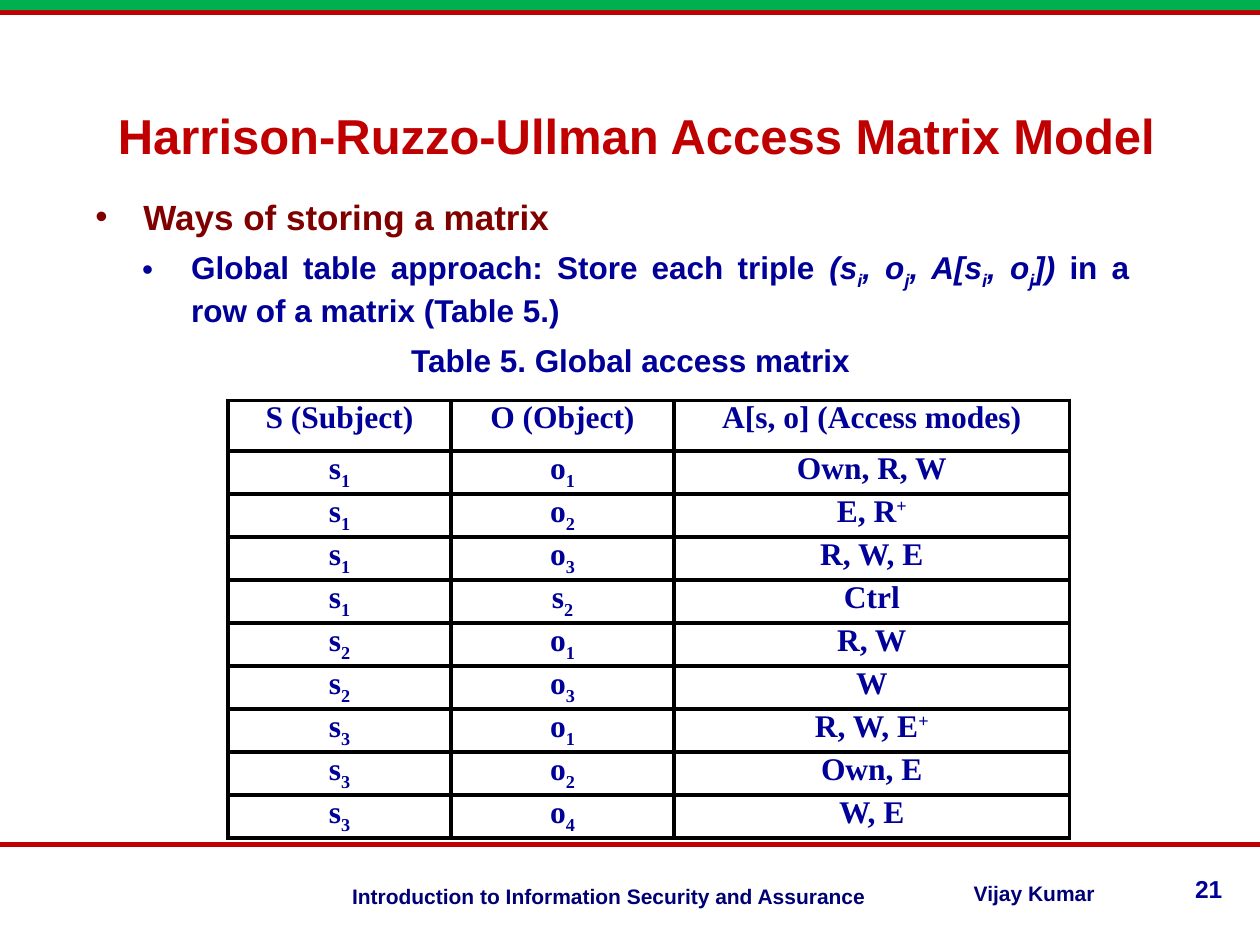
from dataclasses import dataclass
from typing import Any

from lxml.etree import SubElement
from pptx import Presentation
from pptx.dml.color import RGBColor
from pptx.enum.shapes import MSO_CONNECTOR, MSO_SHAPE
from pptx.enum.text import MSO_ANCHOR, PP_ALIGN
from pptx.oxml.ns import qn
from pptx.util import Inches, Pt

RED = RGBColor(0xC0, 0x00, 0x00)
GREEN = RGBColor(0x00, 0xB0, 0x50)
MAROON = RGBColor(0x80, 0x00, 0x00)
BLUE = RGBColor(0x00, 0x00, 0x99)
NAVY = RGBColor(0x00, 0x00, 0x76)
WHITE = RGBColor(0xFF, 0xFF, 0xFF)
BLACK = RGBColor(0x00, 0x00, 0x00)
BASELINES = {"_": "-25000", "^": "30000"}


@dataclass(frozen=True)
class Label:
    text: str
    left: float
    top: float
    width: float
    height: float
    size: int
    color: RGBColor
    align: PP_ALIGN
    anchor: MSO_ANCHOR = MSO_ANCHOR.TOP


@dataclass(frozen=True)
class Bullet:
    phrases: tuple[tuple[str, bool], ...]
    level: int
    size: int
    color: RGBColor
    margin: float
    indent: float


LABELS = (
    Label("Introduction to Information Security and Assurance",
          2.54, 6.96, 4.43, 0.29, 12, NAVY, PP_ALIGN.RIGHT),
    Label("Vijay Kumar", 7.63, 6.94, 1.26, 0.27, 12, NAVY, PP_ALIGN.JUSTIFY),
    Label("21", 9.15, 6.89, 0.65, 0.27, 14, BLUE, PP_ALIGN.RIGHT),
    Label("Harrison-Ruzzo-Ullman Access Matrix Model",
          0.51, 0.67, 9.08, 0.8, 28, RED, PP_ALIGN.CENTER, MSO_ANCHOR.MIDDLE),
    Label("Table 5. Global access matrix",
          2.9, 2.66, 4.21, 0.4, 18, BLUE, PP_ALIGN.CENTER, MSO_ANCHOR.MIDDLE),
)
BULLETS = (
    Bullet((("Ways of storing a matrix", False),), 0, 20, MAROON, 0.88, -0.38),
    Bullet((("Global table approach: Store each triple ", False),
            ("(s_i, o_j, A[s_i, o_j]) ", True),
            ("in a row of a matrix (Table 5.)", False)),
           1, 18, BLUE, 1.26, -0.39),
)
COLUMNS = (1.77, 1.77, 3.14)
HEADER_HEIGHT, ROW_HEIGHT = 0.4, 0.33
ROWS = (
    ("S (Subject)", "O (Object)", "A[s, o] (Access modes)"),
    ("s_1", "o_1", "Own, R, W"),
    ("s_1", "o_2", "E, R^+"),
    ("s_1", "o_3", "R, W, E"),
    ("s_1", "s_2", "Ctrl"),
    ("s_2", "o_1", "R, W"),
    ("s_2", "o_3", "W"),
    ("s_3", "o_1", "R, W, E^+"),
    ("s_3", "o_2", "Own, E"),
    ("s_3", "o_4", "W, E"),
)


def split_scripts(text: str) -> list[tuple[str, str]]:
    pieces = [("", "")]
    mark = ""
    for ch in text:
        if ch in BASELINES:
            mark = ch
            continue
        last, last_mark = pieces[-1]
        if mark == last_mark:
            pieces[-1] = (last + ch, mark)
        else:
            pieces.append((ch, mark))
        mark = ""
    return pieces


def add_runs(p: Any, text: str, size: int, color: RGBColor,
             font: str = "Arial", italic: bool = False) -> None:
    for piece, mark in split_scripts(text):
        r = p.add_run()
        r.text = piece
        r.font.name, r.font.size = font, Pt(size)
        r.font.bold, r.font.italic = True, italic
        r.font.color.rgb = color
        if mark:
            r.font._element.set("baseline", BASELINES[mark])


def add_label(s: Any, label: Label) -> None:
    sp = s.shapes.add_textbox(*map(Inches, (label.left, label.top, label.width, label.height)))
    tf = sp.text_frame
    tf.word_wrap = True
    tf.vertical_anchor = label.anchor
    p = tf.paragraphs[0]
    p.alignment = label.align
    add_runs(p, label.text, label.size, label.color)


def add_rule(s: Any, y: float) -> None:
    line = s.shapes.add_connector(MSO_CONNECTOR.STRAIGHT, 0, Inches(y), Inches(10), Inches(y))
    line.line.color.rgb = RED
    line.line.width = Pt(3)
    SubElement(line._element.spPr, qn("a:effectLst"))


def add_bullets(s: Any) -> None:
    tf = s.shapes.add_textbox(Inches(0.16), Inches(1.5), Inches(8.9), Inches(1.51)).text_frame
    tf.word_wrap = True
    for i, bullet in enumerate(BULLETS):
        p = tf.add_paragraph() if i else tf.paragraphs[0]
        p.alignment = PP_ALIGN.JUSTIFY
        p.level = bullet.level
        p.space_before = Pt(6)
        pPr = p._p.get_or_add_pPr()
        pPr.set("marL", str(Inches(bullet.margin)))
        pPr.set("indent", str(Inches(bullet.indent)))
        SubElement(pPr, qn("a:buFont"), typeface="Arial")
        SubElement(pPr, qn("a:buChar"), char="•")
        for text, italic in bullet.phrases:
            add_runs(p, text, bullet.size, bullet.color, italic=italic)


def style_cell(cell: Any) -> None:
    cell.margin_left = cell.margin_right = Inches(0.07)
    cell.margin_top = cell.margin_bottom = 0
    tcPr = cell._tc.get_or_add_tcPr()
    for side in ("a:lnL", "a:lnR", "a:lnT", "a:lnB"):
        ln = SubElement(tcPr, qn(side), w=str(Pt(2.25)))
        SubElement(SubElement(ln, qn("a:solidFill")), qn("a:srgbClr"), val=str(BLACK))
    cell.fill.solid()
    cell.fill.fore_color.rgb = WHITE


def add_matrix(s: Any) -> None:
    height = HEADER_HEIGHT + ROW_HEIGHT * (len(ROWS) - 1)
    table = s.shapes.add_table(len(ROWS), len(COLUMNS), Inches(1.81), Inches(3.18),
                               Inches(sum(COLUMNS)), Inches(height)).table
    for column, width in zip(table.columns, COLUMNS):
        column.width = Inches(width)
    for i, texts in enumerate(ROWS):
        table.rows[i].height = Inches(ROW_HEIGHT if i else HEADER_HEIGHT)
        for j, text in enumerate(texts):
            cell = table.cell(i, j)
            style_cell(cell)
            p = cell.text_frame.paragraphs[0]
            p.alignment = PP_ALIGN.CENTER
            add_runs(p, text, 18, BLUE, "Times New Roman")


prs = Presentation()
prs.slide_width, prs.slide_height = Inches(10), Inches(7.5)
s = prs.slides.add_slide(prs.slide_layouts[6])

for y in (6.7, 0.1):
    add_rule(s, y)
band = s.shapes.add_shape(MSO_SHAPE.RECTANGLE, 0, 0, Inches(10), Inches(0.08))
band.shadow.inherit = False
band.fill.solid()
band.fill.fore_color.rgb = GREEN
band.line.fill.background()

add_bullets(s)
add_matrix(s)
for label in LABELS:
    add_label(s, label)

prs.save("out.pptx")
